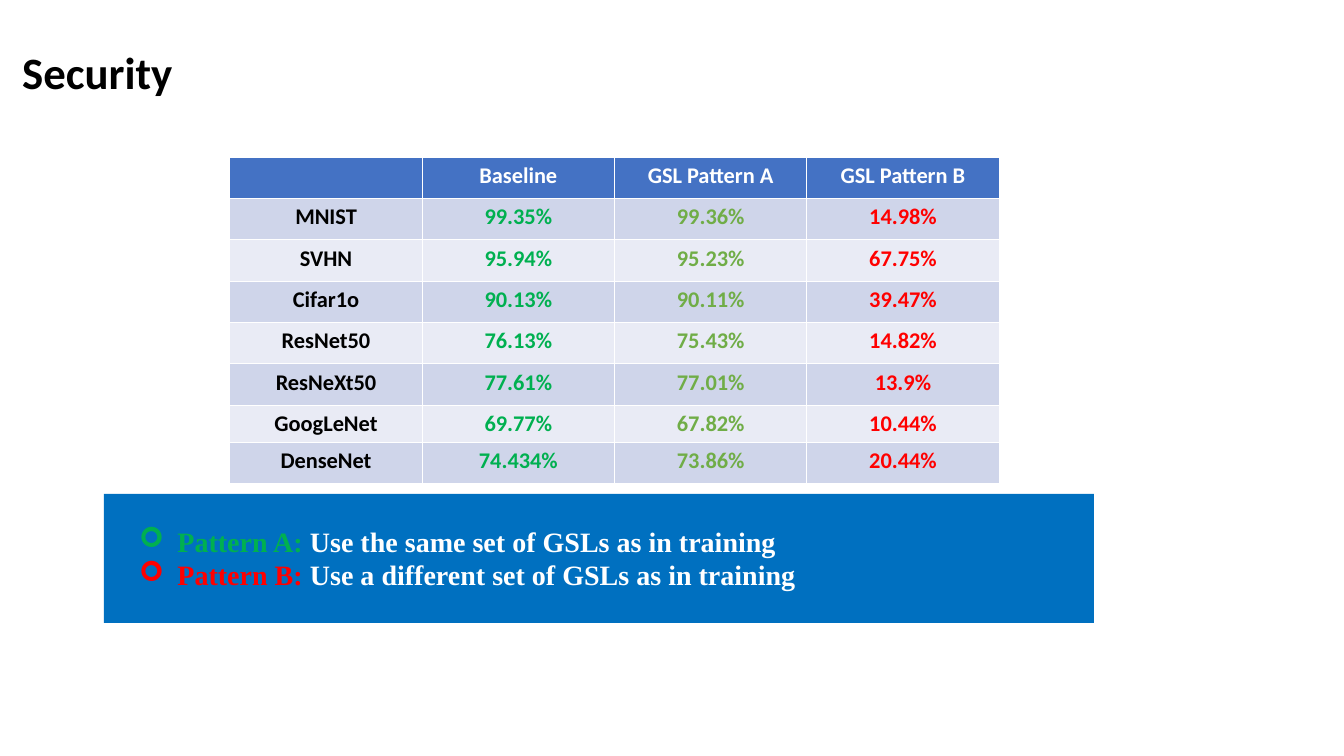
import pptx
import pptx.dml.color
import pptx.enum.shapes
import pptx.enum.text
import pptx.util
from lxml import etree
from pptx.oxml.ns import qn
from pptx.util import Inches

COLORS = {
    "black": "000000",
    "white": "FFFFFF",
    "header": "4472C4",
    "odd_row": "CFD5EA",
    "even_row": "E9EBF5",
    "baseline": "00B050",
    "pattern_a": "70AD47",
    "pattern_b": "FF0000",
    "panel": "0070C0",
}
COLUMN_COLORS = ["black", "baseline", "pattern_a", "pattern_b"]
ACCURACY = [
    ["", "Baseline", "GSL Pattern A", "GSL Pattern B"],
    ["MNIST", "99.35%", "99.36%", "14.98%"],
    ["SVHN", "95.94%", "95.23%", "67.75%"],
    ["Cifar1o", "90.13%", "90.11%", "39.47%"],
    ["ResNet50", "76.13%", "75.43%", "14.82%"],
    ["ResNeXt50", "77.61%", "77.01%", "13.9%"],
    ["GoogLeNet", "69.77%", "67.82%", "10.44%"],
    ["DenseNet", "74.434%", "73.86%", "20.44%"],
]
PATTERNS = [
    ("Pattern A: ", "Use the same set of GSLs as in training", "baseline"),
    ("Pattern B: ", "Use a different set of GSLs as in training", "pattern_b"),
]


def rgb(name):
    return pptx.dml.color.RGBColor.from_string(COLORS[name])


def place(shape, left, top, width, height):
    shape.left, shape.top = Inches(left), Inches(top)
    shape.width, shape.height = Inches(width), Inches(height)


def format_run(run, size, color, font="Calibri"):
    run.font.size = pptx.util.Pt(size)
    run.font.name = font
    run.font.bold = True
    run.font.color.rgb = rgb(color)


def fill_title(title):
    place(title, 0.12, 0.38, 12.99, 0.72)
    title.text_frame.text = "Security"
    title.text_frame.vertical_anchor = pptx.enum.text.MSO_ANCHOR.MIDDLE
    paragraph = title.text_frame.paragraphs[0]
    paragraph.alignment = pptx.enum.text.PP_ALIGN.LEFT
    paragraph.line_spacing = 0.9
    format_run(paragraph.runs[0], 32, "black")


def add_accuracy_table(slide):
    table = slide.shapes.add_table(
        len(ACCURACY), len(COLUMN_COLORS),
        Inches(2.28), Inches(1.56), Inches(7.63), Inches(3.24),
    ).table
    for row in table.rows:
        row.height = Inches(0.41)
    table.rows[6].height = Inches(0.37)
    for row_index, values in enumerate(ACCURACY):
        fill = "header" if row_index == 0 else ("even_row", "odd_row")[row_index % 2]
        for column_index, value in enumerate(values):
            cell = table.cell(row_index, column_index)
            cell.fill.solid()
            cell.fill.fore_color.rgb = rgb(fill)
            cell.text_frame.text = value
            paragraph = cell.text_frame.paragraphs[0]
            paragraph.alignment = pptx.enum.text.PP_ALIGN.CENTER
            color = "white" if row_index == 0 else COLUMN_COLORS[column_index]
            for run in paragraph.runs:
                format_run(run, 16, color)


def add_panel_behind(slide, front_shape):
    panel = slide.shapes.add_shape(
        pptx.enum.shapes.MSO_SHAPE.RECTANGLE,
        Inches(1.03), Inches(4.9), Inches(9.82), Inches(1.28),
    )
    panel.shadow.inherit = False
    panel.fill.solid()
    panel.fill.fore_color.rgb = rgb("panel")
    panel.line.fill.background()
    front_shape.element.addprevious(panel.element)


def set_bullet(paragraph, character):
    properties = paragraph._p.get_or_add_pPr()
    properties.set("marL", str(Inches(0.88)))
    properties.set("indent", str(Inches(-0.38)))
    etree.SubElement(properties, qn("a:buFont"), typeface="Wingdings")
    etree.SubElement(properties, qn("a:buChar"), char=character)


def fill_pattern_list(body):
    place(body, 0.78, 5.15, 7.26, 0.77)
    frame = body.text_frame
    frame.word_wrap = False
    frame.auto_size = pptx.enum.text.MSO_AUTO_SIZE.SHAPE_TO_FIT_TEXT
    frame.text = "\n".join(label for label, _, _ in PATTERNS)
    for paragraph, (_, meaning, color) in zip(frame.paragraphs, PATTERNS):
        paragraph.level = 1
        paragraph.space_before = pptx.util.Pt(0)
        set_bullet(paragraph, "➢")
        format_run(paragraph.runs[0], 20, color, "Times New Roman")
        run = paragraph.add_run()
        run.text = meaning
        format_run(run, 20, "white", "Times New Roman")


def main():
    presentation = pptx.Presentation()
    presentation.slide_width = Inches(13.33)
    presentation.slide_height = Inches(7.5)
    slide = presentation.slides.add_slide(presentation.slide_layouts[1])
    body = slide.placeholders[1]
    fill_title(slide.shapes.title)
    fill_pattern_list(body)
    add_panel_behind(slide, body)
    add_accuracy_table(slide)
    presentation.save("out.pptx")


if __name__ == "__main__":
    main()
